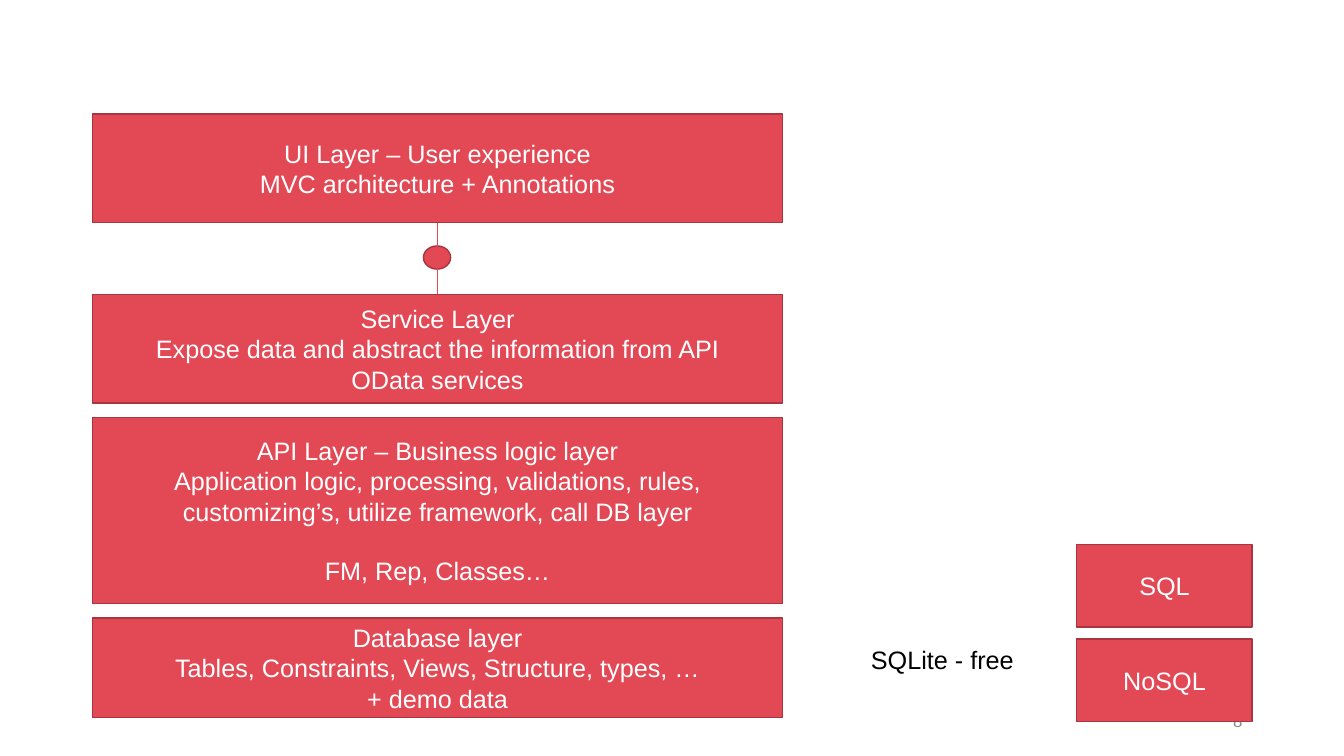
from dataclasses import dataclass

from lxml.etree import SubElement
from pptx import Presentation
from pptx.dml.color import RGBColor
from pptx.enum.shapes import MSO_CONNECTOR, MSO_SHAPE
from pptx.enum.text import MSO_ANCHOR, PP_ALIGN
from pptx.oxml.ns import qn
from pptx.util import Emu, Pt

EMU_PER_PX = 9144  # 100 px to the inch
FONT = "Arial"
COLORS = {
    "fill": "E34855",
    "outline": "A8353F",
    "box_text": "FFFFFF",
    "note": "000000",
    "page_number": "8C8C8C",
}
LAYER_LEFT, LAYER_WIDTH = 92, 684
STORE_LEFT, STORE_WIDTH, STORE_HEIGHT = 1068, 174, 82


@dataclass(frozen=True)
class Area:
    left: int
    top: int
    width: int
    height: int

    def emu(self) -> list[Emu]:
        return [px(side) for side in (self.left, self.top, self.width, self.height)]


@dataclass(frozen=True)
class Box:
    area: Area
    text: str = ""
    shape: MSO_SHAPE = MSO_SHAPE.RECTANGLE
    last_gap: int = 0


def px(length: int) -> Emu:
    return Emu(length * EMU_PER_PX)


def color(name: str) -> RGBColor:
    return RGBColor.from_string(COLORS[name])


def layer(top: int, height: int, text: str, last_gap: int = 0) -> Box:
    return Box(Area(LAYER_LEFT, top, LAYER_WIDTH, height), text, last_gap=last_gap)


def store(top: int, text: str) -> Box:
    return Box(Area(STORE_LEFT, top, STORE_WIDTH, STORE_HEIGHT), text)


LAYERS = [
    layer(613, 99, "Database layer\n"
          "Tables, Constraints, Views, Structure, types, …\n+ demo data"),
    layer(414, 185, "API Layer – Business logic layer\n"
          "Application logic, processing, validations, rules, customizing’s, "
          "utilize framework, call DB layer\nFM, Rep, Classes…", last_gap=21),
    layer(292, 108, "Service Layer\n"
          "Expose data and abstract the information from API\nOData services"),
    layer(113, 108, "UI Layer – User experience\nMVC architecture + Annotations"),
]
JOINT = Box(Area(420, 244, 27, 23), shape=MSO_SHAPE.OVAL)
STORES = [store(540, "SQL"), store(634, "NoSQL")]


def write(frame, text: str, size: int, color_name: str, align: PP_ALIGN) -> None:
    frame.word_wrap = True
    frame.text = text
    for para in frame.paragraphs:
        para.alignment = align
        for span in para.runs:
            span.font.name = FONT
            span.font.size = Pt(size)
            span.font.color.rgb = color(color_name)


def draw_box(page, box: Box) -> None:
    shape = page.shapes.add_shape(box.shape, *box.area.emu())
    shape.shadow.inherit = False
    shape.fill.solid()
    shape.fill.fore_color.rgb = color("fill")
    shape.line.color.rgb = color("outline")
    shape.line.width = Pt(1)
    if box.text:
        frame = shape.text_frame
        frame.vertical_anchor = MSO_ANCHOR.MIDDLE
        write(frame, box.text, 18, "box_text", PP_ALIGN.CENTER)
        if box.last_gap:
            frame.paragraphs[-1].space_before = Pt(box.last_gap)


def draw_link(page, x: int, top: int, bottom: int) -> None:
    link = page.shapes.add_connector(
        MSO_CONNECTOR.STRAIGHT, px(x), px(top), px(x), px(bottom))
    link.line.color.rgb = color("fill")
    link.line.width = Pt(0.5)
    SubElement(link._element.spPr, qn("a:effectLst"))


def draw_label(page, area: Area, text: str, size: int, color_name: str,
               align: PP_ALIGN, anchor: MSO_ANCHOR) -> None:
    frame = page.shapes.add_textbox(*area.emu()).text_frame
    frame.vertical_anchor = anchor
    write(frame, text, size, color_name, align)


def main() -> None:
    deck = Presentation()
    deck.slide_width, deck.slide_height = px(1333), px(750)
    page = deck.slides.add_slide(deck.slide_layouts[6])

    draw_label(page, Area(942, 695, 300, 40), "8", 12, "page_number",
               PP_ALIGN.RIGHT, MSO_ANCHOR.MIDDLE)
    for box in LAYERS + [JOINT]:
        draw_box(page, box)
    draw_link(page, LAYER_LEFT + LAYER_WIDTH // 2, 221, 292)
    for box in STORES:
        draw_box(page, box)
    draw_label(page, Area(854, 634, 174, 40), "SQLite - free", 18, "note",
               PP_ALIGN.LEFT, MSO_ANCHOR.TOP)

    deck.save("out.pptx")


if __name__ == "__main__":
    main()
